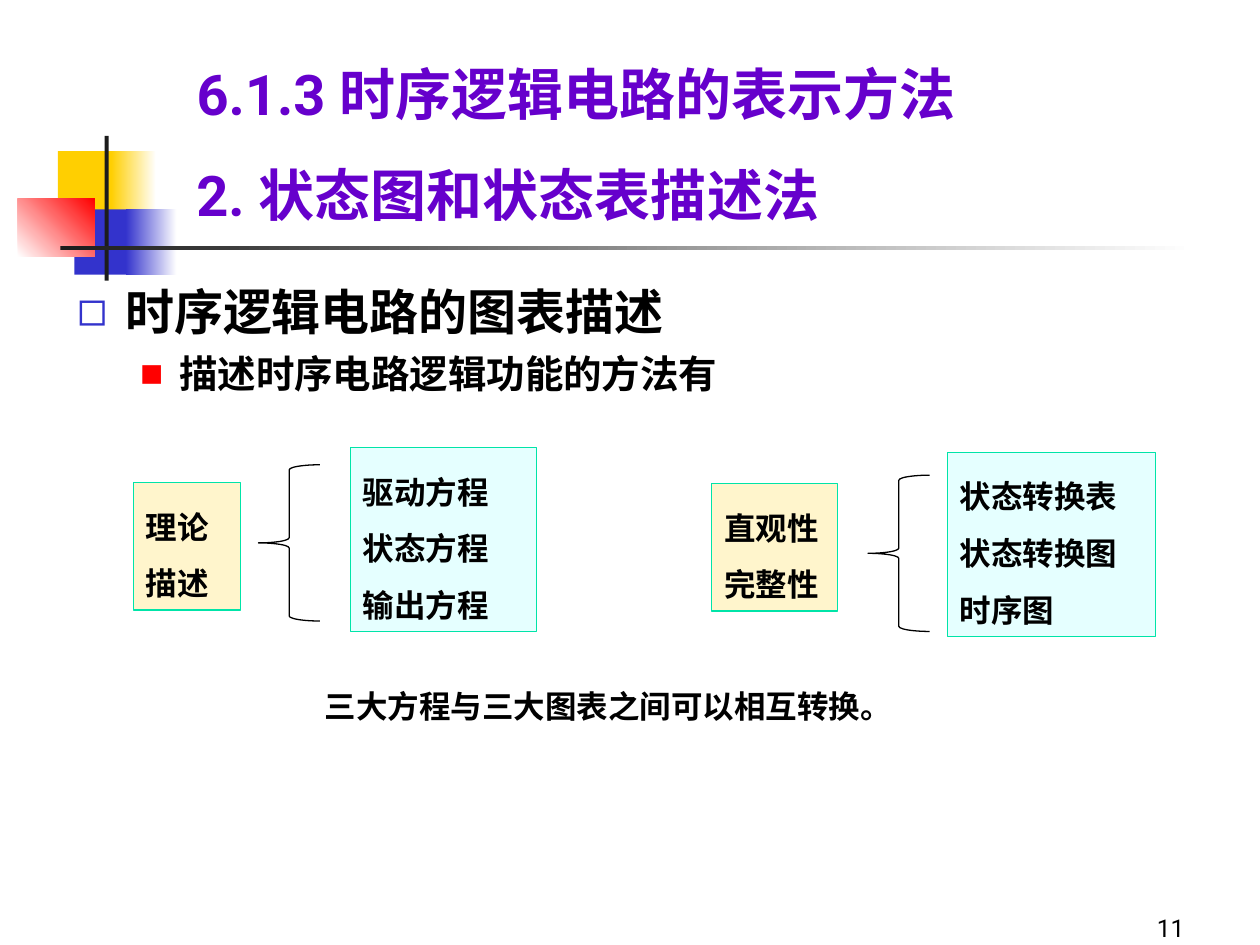
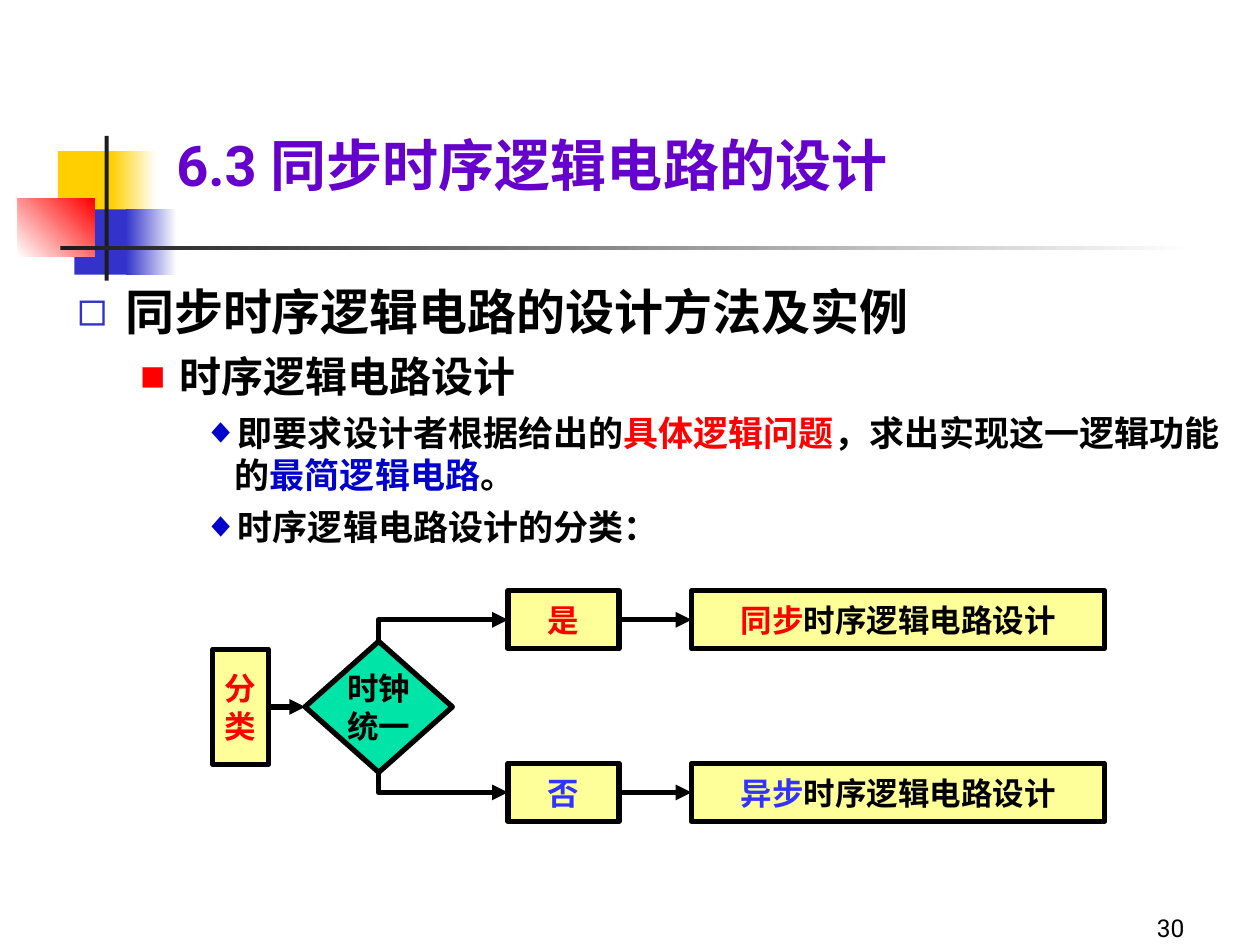
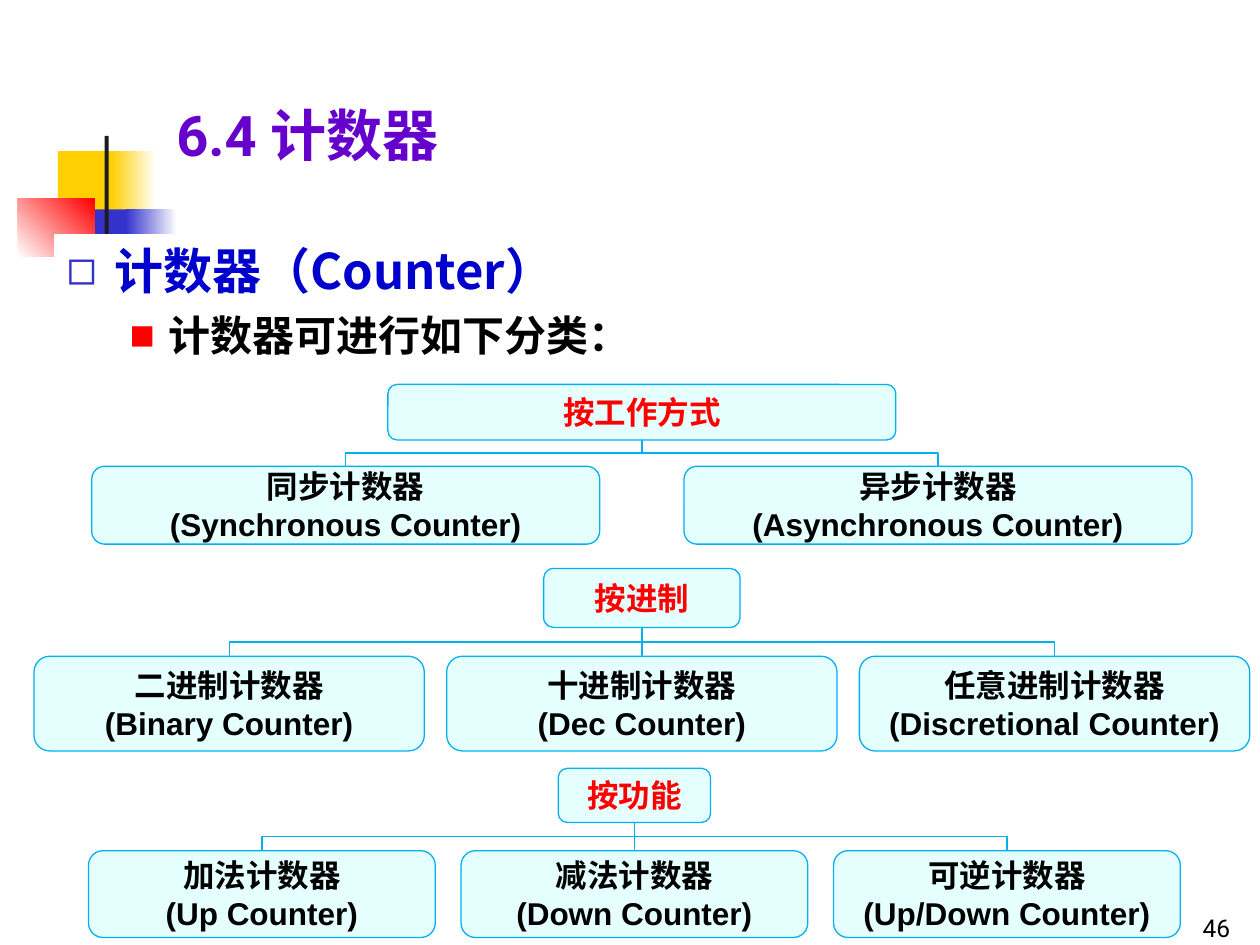
from dataclasses import dataclass

from lxml.etree import SubElement
from pptx import Presentation
from pptx.dml.color import RGBColor
from pptx.enum.lang import MSO_LANGUAGE_ID
from pptx.enum.shapes import MSO_CONNECTOR, MSO_SHAPE
from pptx.enum.text import MSO_ANCHOR, MSO_AUTO_SIZE, PP_ALIGN
from pptx.oxml.ns import qn
from pptx.util import Cm, Pt


@dataclass(frozen=True)
class Theme:
    purple: str = "6600CC"
    black: str = "000000"
    white: str = "FFFFFF"
    red: str = "FF0000"
    navy: str = "0000CC"
    blue: str = "3333CC"
    no_blue: str = "3333FF"
    gold: str = "FFCF01"
    ink: str = "1C1C1C"
    cream: str = "FFF5CC"
    ice: str = "E5FFFF"
    lemon: str = "FFFF99"
    green: str = "00E4A8"
    sky: str = "00B0F0"
    font: str = "Roboto"
    cjk: str = "Noto Sans CJK SC"
    serif: str = "Times New Roman"
    sans: str = "Arial"
    title: int = 32
    head: int = 28
    sub: int = 24
    method: int = 22
    item: int = 20
    label: int = 18
    number: int = 14


T = Theme()
BULLETS = [
    ("◻", T.blue, 0.97, 0.97),
    ("■", T.red, 2.06, 0.79),
    ("◆", T.navy, 3.18, 0.64),
]
NUMBER_FRAME = (18.85, 18.21, 5.28, 0.91)
MARGIN_NUMBER_FRAME = (23.85, 18.21, 1.2, 0.91)


def write(tf, paras, size, color=T.black, font=T.font, align=PP_ALIGN.LEFT, bold=True):
    tf.word_wrap = align != PP_ALIGN.CENTER
    for para in paras:
        p = tf.add_paragraph() if tf.text else tf.paragraphs[0]
        p.alignment = align
        for text, run_color in [(para, color)] if isinstance(para, str) else para:
            r = p.add_run()
            r.text = text
            r.font.size = Pt(size)
            r.font.bold = bold
            r.font.name = font
            r.font.color.rgb = RGBColor.from_string(run_color)
            r.font.language_id = MSO_LANGUAGE_ID.SIMPLIFIED_CHINESE
            SubElement(r._r.get_or_add_rPr(), qn("a:ea")).set("typeface", T.font)


def box(s, kind, frame, fill=None, line=None, width=0.75, paras=(), **style):
    sp = s.shapes.add_shape(kind, *map(Cm, frame))
    sp.shadow.inherit = False
    if fill:
        sp.fill.solid()
        sp.fill.fore_color.rgb = RGBColor.from_string(fill)
    else:
        sp.fill.background()
    if line:
        sp.line.color.rgb = RGBColor.from_string(line)
        sp.line.width = Pt(width)
    else:
        sp.line.fill.background()
    if paras:
        tf = sp.text_frame
        write(tf, paras, T.label, **style)
        if style.get("align") == PP_ALIGN.CENTER:
            tf.margin_left = tf.margin_right = tf.margin_top = tf.margin_bottom = Cm(0.08)
            tf.vertical_anchor = MSO_ANCHOR.MIDDLE
        else:
            tf.vertical_anchor = MSO_ANCHOR.TOP
            for p in tf.paragraphs:
                p.line_spacing = 1.5
    return sp


prs = Presentation()
prs.slide_width, prs.slide_height = Cm(25.4), Cm(19.05)

pages = [
    ("11", NUMBER_FRAME, "6.1.3 时序逻辑电路的表示方法", (3.71, 1.12, 21.01, 1.57), (1.3, 5.54, 23.01, 12.8), [
        (0, "时序逻辑电路的图表描述", T.head, T.black, T.font),
        (1, "描述时序电路逻辑功能的方法有", T.method, T.black, T.font),
    ]),
    ("30", NUMBER_FRAME, "6.3 同步时序逻辑电路的设计", (3.3, 2.34, 21.01, 1.78), (1.3, 5.54, 23.57, 12.8), [
        (0, "同步时序逻辑电路的设计方法及实例", T.head, T.black, T.font),
        (1, "时序逻辑电路设计", T.sub, T.black, T.cjk),
        (2, [("即要求设计者根据给出的", T.black), ("具体逻辑问题", T.red),
             ("，求出实现这一逻辑功能的", T.black), ("最简逻辑电路", T.navy), ("。", T.black)],
         T.item, T.black, T.cjk),
        (2, "时序逻辑电路设计的分类：", T.item, T.black, T.cjk),
    ]),
    ("46", MARGIN_NUMBER_FRAME, "6.4 计数器", (3.3, 1.73, 20.8, 1.78), (1.09, 4.72, 23.04, 13.21), [
        (0, "计数器（Counter）", T.head, T.navy, T.cjk),
        (1, "计数器可进行如下分类：", T.sub, T.black, T.font),
    ]),
]

slides = []
for number, number_frame, title, title_frame, body_frame, items in pages:
    s = prs.slides.add_slide(prs.slide_layouts[1])
    slides.append(s)
    heading, body = s.placeholders
    for sp, frame in ((heading, title_frame), (body, body_frame)):
        sp.left, sp.top, sp.width, sp.height = map(Cm, frame)
        sp.text_frame.auto_size = MSO_AUTO_SIZE.NONE
    heading.text_frame.vertical_anchor = MSO_ANCHOR.BOTTOM
    write(heading.text_frame, [title], T.title, T.purple)

    tf = body.text_frame
    for i, (level, text, size, color, font) in enumerate(items):
        write(tf, [text], size, color, font)
        p = tf.paragraphs[-1]
        p.level = level
        p.space_before = Pt(6 if i else 0)
        char, bullet_color, left, hang = BULLETS[level]
        pPr = p._p.get_or_add_pPr()
        pPr.set("marL", str(Cm(left)))
        pPr.set("indent", str(-Cm(hang)))
        SubElement(SubElement(pPr, qn("a:buClr")), qn("a:srgbClr")).set("val", bullet_color)
        SubElement(pPr, qn("a:buSzPct")).set("val", "100000")
        SubElement(pPr, qn("a:buFont")).set("typeface", T.sans)
        SubElement(pPr, qn("a:buChar")).set("char", char)

    sp = s.shapes.add_textbox(*map(Cm, number_frame))
    sp.text_frame.vertical_anchor = MSO_ANCHOR.BOTTOM
    write(sp.text_frame, [number], T.number, align=PP_ALIGN.RIGHT, bold=False)

methods, design, counters = slides
counter_body = counters.placeholders[1]
counter_body.fill.solid()
counter_body.fill.fore_color.rgb = RGBColor.from_string(T.white)

ornaments = [
    ((1.17, 3.05, 1.22, 1.32), T.gold, None, 0),
    ((2.24, 3.05, 0.91, 1.32), T.gold, T.white, 0),
    ((1.5, 4.22, 1.17, 1.32), T.blue, None, 0),
    ((2.54, 4.22, 1.02, 1.32), T.blue, T.white, 0),
    ((0.36, 4.01, 1.55, 1.17), T.white, T.red, 45),
    ((2.11, 2.74, 0.08, 2.92), T.ink, None, 0),
    ((1.22, 4.95, 22.86, 0.09), T.ink, T.white, 0),
]
for frame, start, end, angle in ornaments:
    sp = box(methods, MSO_SHAPE.RECTANGLE, frame, start)
    if end:
        sp.fill.gradient()
        sp.fill.gradient_angle = angle
        for stop, color in zip(sp.fill.gradient_stops, (start, end)):
            stop.color.rgb = RGBColor.from_string(color)
    prs.slide_master.element.cSld.spTree.append(sp.element)

for frame, fill, lines in [
    ((2.69, 9.73, 2.16, 2.57), T.cream, ["理论", "描述"]),
    ((14.35, 9.75, 2.54, 2.57), T.cream, ["直观性", "完整性"]),
    ((7.06, 9.02, 3.76, 3.71), T.ice, ["驱动方程", "状态方程", "输出方程"]),
    ((19.1, 9.12, 4.19, 3.71), T.ice, ["状态转换表", "状态转换图", "时序图"]),
]:
    box(methods, MSO_SHAPE.RECTANGLE, frame, fill, T.green, paras=lines)
for x, y in ((5.21, 9.37), (17.5, 9.58)):
    box(methods, MSO_SHAPE.LEFT_BRACE, (x, y, 1.24, 3.15), line=T.black)
for frame, text, size, color in [
    ((6.3, 13.72, 12.5, 1.02), "三大方程与三大图表之间可以相互转换。", T.label, T.black),
    ((3.71, 3.12, 20.6, 1.57), "2. 状态图和状态表描述法", T.title, T.purple),
]:
    sp = methods.shapes.add_textbox(*map(Cm, frame))
    write(sp.text_frame, [text], size, color)

links = []
flow = dict(line=T.black, width=3, font=T.serif, align=PP_ALIGN.CENTER)
sort = box(design, MSO_SHAPE.RECTANGLE, (4.29, 13.09, 1.12, 2.32), T.lemon,
           paras=["分", "类"], color=T.red, **flow)
clock = box(design, MSO_SHAPE.DIAMOND, (6.15, 12.93, 2.97, 2.64), T.green,
            paras=["时钟", "统一"], **flow)
joins = [(MSO_CONNECTOR.STRAIGHT, sort, 3, clock, 1, "a:tailEnd")]
for y, answer, kind, color, site in [
    (11.91, "是", "同步", T.red, 0),
    (15.39, "否", "异步", T.no_blue, 2),
]:
    reply = box(design, MSO_SHAPE.RECTANGLE, (10.24, y, 2.24, 1.17), T.lemon,
                paras=[answer], color=color, **flow)
    result = box(design, MSO_SHAPE.RECTANGLE, (13.94, y, 8.33, 1.17), T.lemon,
                 paras=[[(kind, color), ("时序逻辑电路设计", T.black)]], **flow)
    joins.append((MSO_CONNECTOR.ELBOW, reply, 1, clock, site, "a:headEnd"))
    joins.append((MSO_CONNECTOR.STRAIGHT, reply, 3, result, 1, "a:tailEnd"))
for kind, first, first_site, last, last_site, arrow in joins:
    c = design.shapes.add_connector(kind, 0, 0, 0, 0)
    c.begin_connect(first, first_site)
    c.end_connect(last, last_site)
    if kind == MSO_CONNECTOR.ELBOW:
        c.element.spPr.find(qn("a:prstGeom")).set("prst", "bentConnector2")
    links.append((c, T.black, 3, arrow))

trees = [
    ("按工作方式", 12.94, (7.75, 10.24, 1.12), (9.4, 10.24, 1.57), 11.94,
     [("同步计数器", "(Synchronous Counter)"), ("异步计数器", "(Asynchronous Counter)")]),
    ("按进制", 12.94, (11.46, 3.96, 1.19), (13.23, 7.87, 1.91), 8.32,
     [("二进制计数器", "(Binary Counter)"), ("十进制计数器", "(Dec Counter)"),
      ("任意进制计数器", "(Discretional Counter)")]),
    ("按功能", 12.79, (15.49, 3.07, 1.09), (17.15, 6.99, 1.75), 7.51,
     [("加法计数器", "(Up Counter)"), ("减法计数器", "(Down Counter)"),
      ("可逆计数器", "(Up/Down Counter)")]),
]
node = dict(fill=T.ice, line=T.sky, font=T.sans, align=PP_ALIGN.CENTER)
for text, center, (top, w, h), (child_top, child_w, child_h), step, children in trees:
    root = box(counters, MSO_SHAPE.ROUNDED_RECTANGLE, (center - w / 2, top, w, h),
               paras=[text], color=T.red, **node)
    drop = child_top - top - h
    middle = child_top - drop / 2
    for i, lines in enumerate(children):
        shift = (i - (len(children) - 1) / 2) * step
        child = box(counters, MSO_SHAPE.ROUNDED_RECTANGLE,
                    (center + shift - child_w / 2, child_top, child_w, child_h),
                    paras=lines, **node)
        if shift:
            x = center + shift / 2
            half = drop / 2 if shift < 0 else -drop / 2
            reach = abs(shift) / 2
            c = counters.shapes.add_connector(
                MSO_CONNECTOR.ELBOW, Cm(x - half), Cm(middle - reach), Cm(x + half), Cm(middle + reach))
            c.element.spPr.find(qn("a:xfrm")).set("rot", "5400000" if shift < 0 else "16200000")
        else:
            c = counters.shapes.add_connector(MSO_CONNECTOR.STRAIGHT, 0, 0, 0, 0)
            c.begin_connect(root, 2)
            c.end_connect(child, 0)
        links.append((c, T.sky, 0.75, None))

for c, color, width, arrow in links:
    c.line.color.rgb = RGBColor.from_string(color)
    c.line.width = Pt(width)
    if arrow:
        SubElement(c.line._get_or_add_ln(), qn(arrow)).set("type", "triangle")
    SubElement(c.element.spPr, qn("a:effectLst"))

prs.save("out.pptx")
